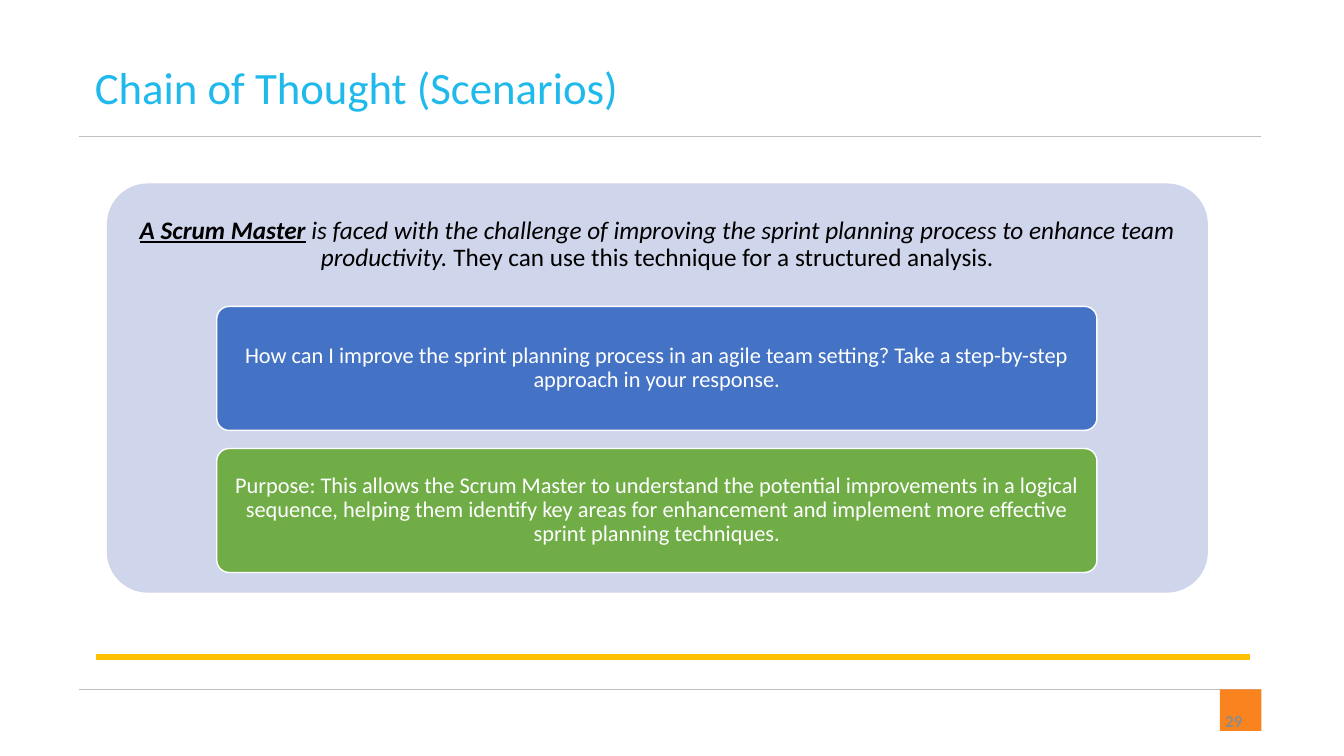
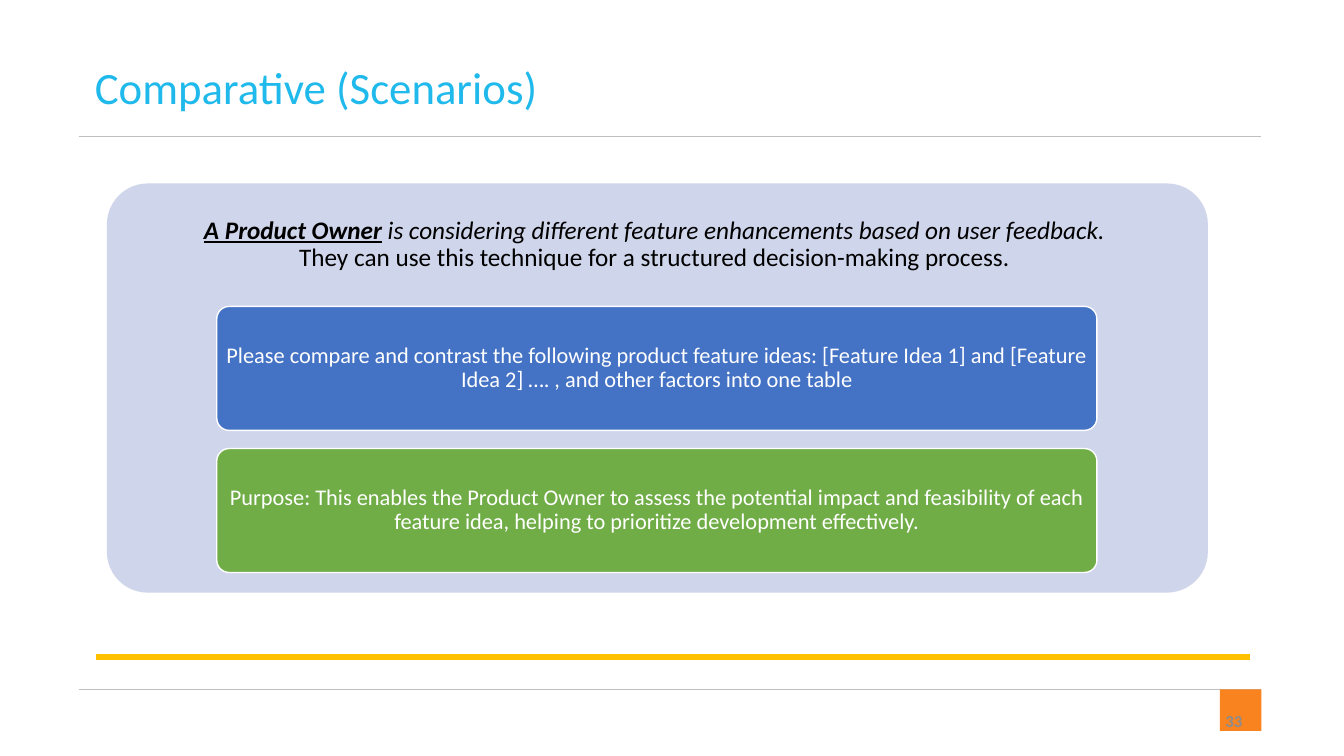
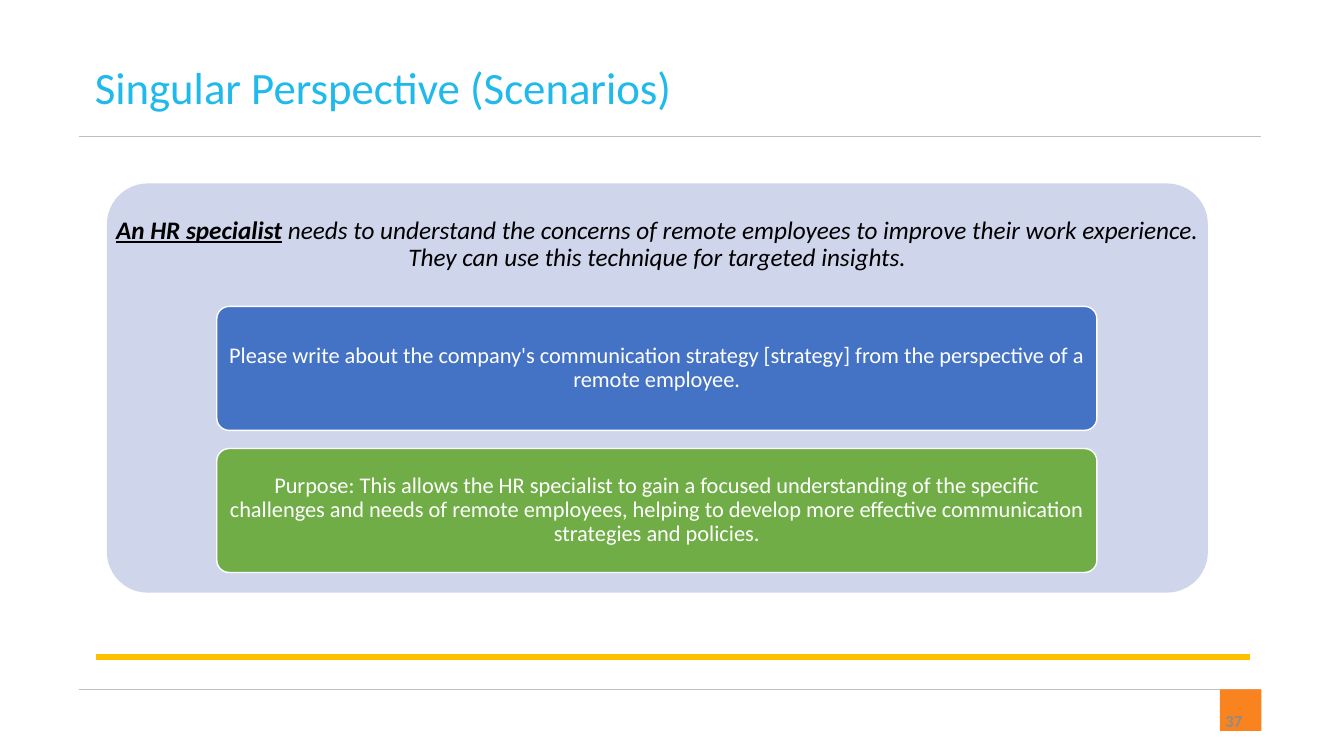
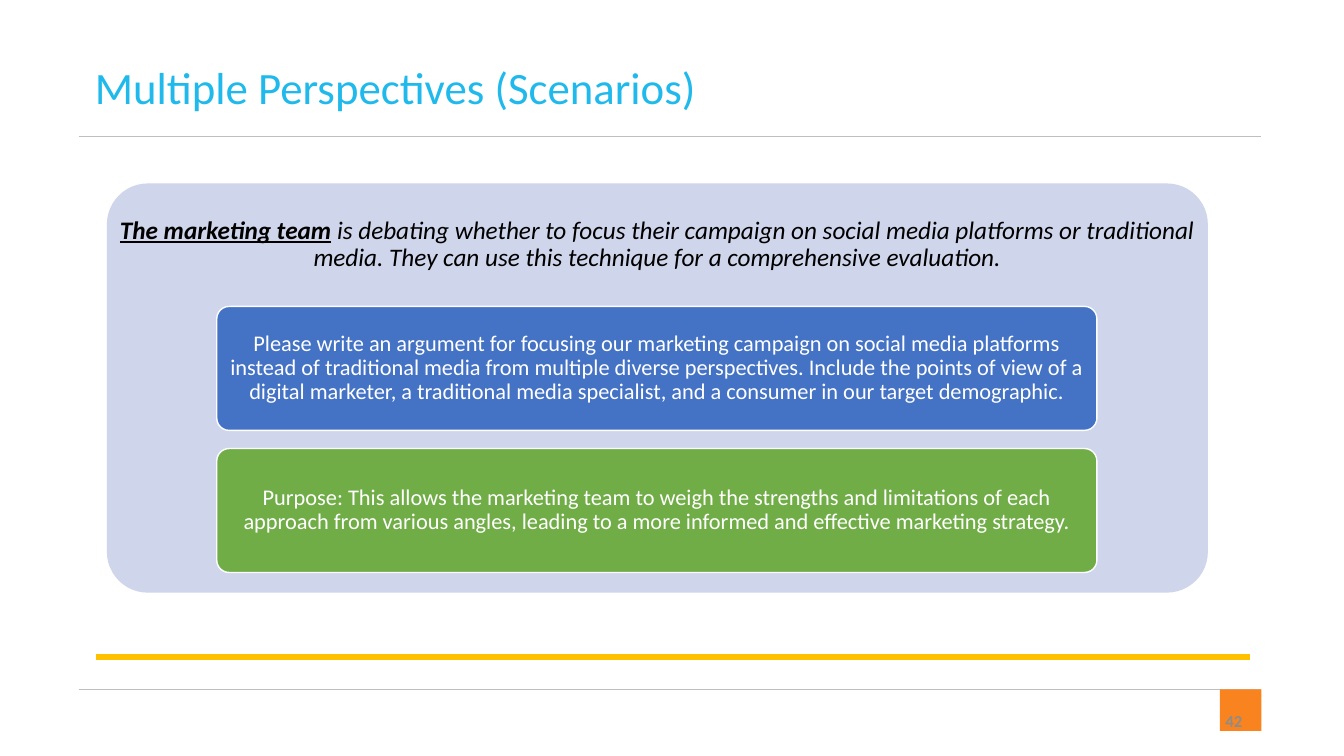
from dataclasses import dataclass

from lxml.etree import SubElement
from pptx import Presentation
from pptx.dml.color import RGBColor
from pptx.enum.shapes import MSO_CONNECTOR as Connector, MSO_SHAPE as Preset
from pptx.enum.text import MSO_ANCHOR as Anchor, MSO_AUTO_SIZE as AutoSize, PP_ALIGN as Align
from pptx.oxml.ns import qn
from pptx.util import Pt

EMU_PER_PX = 9144


@dataclass(frozen=True)
class Theme:
    font: str = "Calibri"
    title: str = "20B9EC"
    rule: str = "BFBFBF"
    accent: str = "FFC000"
    badge: str = "F9831F"
    number: str = "8C8C8C"
    panel: str = "CFD5EA"
    prompt: str = "4472C4"
    purpose: str = "70AD47"
    dark: str = "000000"
    light: str = "FFFFFF"
    title_size: int = 32
    statement_size: int = 18
    card_size: int = 16
    number_size: int = 12


THEME = Theme()
LEAD = {"bold": True, "italic": True, "underline": True}
ITALIC = {"italic": True}
PLAIN = {}

PANEL_BOX = (106, 182, 1092, 406)
STATEMENT_BOX = (106, 182, 1092, 122)
CARD_LEFT, CARD_TOP, CARD_WIDTH, CARD_HEIGHT, CARD_GAP = 215, 304, 873, 123, 18

SCENARIOS = [
    {
        "number": "29",
        "title": "Chain of Thought (Scenarios)",
        "statement": [
            ("A Scrum Master", LEAD),
            (" is faced with the challenge of improving the sprint planning process to enhance team productivity. ", ITALIC),
            ("They can use this technique for a structured analysis.", PLAIN),
        ],
        "prompt": "How can I improve the sprint planning process in an agile team setting? Take a step-by-step approach in your response.",
        "purpose": "Purpose: This allows the Scrum Master to understand the potential improvements in a logical sequence, helping them identify key areas for enhancement and implement more effective sprint planning techniques.",
    },
    {
        "number": "33",
        "title": "Comparative (Scenarios)",
        "statement": [
            ("A Product Owner", LEAD),
            (" is considering different feature enhancements based on user feedback. \n", ITALIC),
            ("They can use this technique for a structured decision-making process. ", PLAIN),
        ],
        "prompt": "Please compare and contrast the following product feature ideas: [Feature Idea 1] and [Feature Idea 2] …. , and other factors into one table",
        "purpose": "Purpose: This enables the Product Owner to assess the potential impact and feasibility of each feature idea, helping to prioritize development effectively.",
    },
    {
        "number": "37",
        "title": "Singular Perspective (Scenarios)",
        "statement": [
            ("An HR specialist", LEAD),
            (" needs to understand the concerns of remote employees to improve their work experience. They can use this technique for targeted insights.", ITALIC),
        ],
        "prompt": "Please write about the company's communication strategy [strategy] from the perspective of a remote employee.",
        "purpose": "Purpose: This allows the HR specialist to gain a focused understanding of the specific challenges and needs of remote employees, helping to develop more effective communication strategies and policies.",
    },
    {
        "number": "42",
        "title": "Multiple Perspectives (Scenarios)",
        "statement": [
            ("The marketing team", LEAD),
            (" is debating whether to focus their campaign on social media platforms or traditional media. They can use this technique for a comprehensive evaluation.", ITALIC),
        ],
        "prompt": "Please write an argument for focusing our marketing campaign on social media platforms instead of traditional media from multiple diverse perspectives. Include the points of view of a digital marketer, a traditional media specialist, and a consumer in our target demographic.",
        "purpose": "Purpose: This allows the marketing team to weigh the strengths and limitations of each approach from various angles, leading to a more informed and effective marketing strategy.",
    },
]


def px(*lengths):
    return [length * EMU_PER_PX for length in lengths]


def apply_format(target, values):
    for name, value in values.items():
        setattr(target, name, value)


def write(frame, runs, size, colour, frame_format, paragraph_format):
    apply_format(frame, {"word_wrap": True, **frame_format})
    paragraph = frame.paragraphs[0]
    apply_format(paragraph, paragraph_format)
    for text, style in runs:
        run = paragraph.add_run()
        run.text = text.rstrip("\n")
        apply_format(run.font, {"name": THEME.font, "size": Pt(size), **style})
        run.font.color.rgb = RGBColor.from_string(colour)
        if text.endswith("\n"):
            paragraph.add_line_break()


def insets(horizontal, vertical):
    across, down = px(horizontal, vertical)
    return {"margin_left": across, "margin_right": across,
            "margin_top": down, "margin_bottom": down}


def add_rule(slide, left, right, y, colour, weight):
    rule = slide.shapes.add_connector(Connector.STRAIGHT, *px(left, y, right, y))
    rule.line.color.rgb = RGBColor.from_string(colour)
    rule.line.width = Pt(weight)
    SubElement(rule.element.spPr, qn("a:effectLst"))


def add_block(slide, preset, box, fill, outline=None):
    block = slide.shapes.add_shape(preset, *px(*box))
    block.shadow.inherit = False
    block.fill.solid()
    block.fill.fore_color.rgb = RGBColor.from_string(fill)
    if preset == Preset.ROUNDED_RECTANGLE:
        block.adjustments[0] = 0.1
    if outline:
        block.line.color.rgb = RGBColor.from_string(outline)
        block.line.width = Pt(1)
    else:
        block.line.fill.background()
    return block


def add_frame(slide, number):
    add_rule(slide, 78, 1251, 684, THEME.rule, 0.5)
    add_block(slide, Preset.RECTANGLE, (1210, 684, 41, 41), THEME.badge)
    add_rule(slide, 78, 1251, 135, THEME.rule, 0.5)
    add_rule(slide, 95, 1240, 652, THEME.accent, 4.5)
    page_number = slide.shapes.add_textbox(*px(942, 695, 300, 40))
    write(page_number.text_frame, [(number, {"bold": True})], THEME.number_size, THEME.number,
          {"vertical_anchor": Anchor.MIDDLE}, {"alignment": Align.RIGHT})


def set_title(slide, text):
    title = slide.shapes.title
    apply_format(title, dict(zip(("left", "top", "width", "height"), px(84, 54, 1197, 64))))
    write(title.text_frame, [(text, PLAIN)], THEME.title_size, THEME.title,
          {"vertical_anchor": Anchor.TOP, "auto_size": AutoSize.SHAPE_TO_FIT_TEXT},
          {"alignment": Align.LEFT})


def add_statement(slide, runs):
    add_block(slide, Preset.ROUNDED_RECTANGLE, PANEL_BOX, THEME.panel)
    statement = slide.shapes.add_textbox(*px(*STATEMENT_BOX))
    write(statement.text_frame, runs, THEME.statement_size, THEME.dark,
          {"vertical_anchor": Anchor.MIDDLE, **insets(7, 7)},
          {"alignment": Align.CENTER, "line_spacing": 0.9})


def add_card(slide, row, text, fill):
    top = CARD_TOP + row * (CARD_HEIGHT + CARD_GAP)
    card = add_block(slide, Preset.ROUNDED_RECTANGLE,
                     (CARD_LEFT, top, CARD_WIDTH, CARD_HEIGHT), fill, THEME.light)
    write(card.text_frame, [(text, PLAIN)], THEME.card_size, THEME.light,
          {"vertical_anchor": Anchor.MIDDLE, **insets(4, 3)},
          {"alignment": Align.CENTER, "line_spacing": 0.9})


def main():
    deck = Presentation()
    deck.slide_width, deck.slide_height = px(1333, 750)
    title_only = deck.slide_layouts[5]
    for scenario in SCENARIOS:
        slide = deck.slides.add_slide(title_only)
        add_frame(slide, scenario["number"])
        set_title(slide, scenario["title"])
        add_statement(slide, scenario["statement"])
        add_card(slide, 0, scenario["prompt"], THEME.prompt)
        add_card(slide, 1, scenario["purpose"], THEME.purpose)
    deck.save("out.pptx")


if __name__ == "__main__":
    main()
